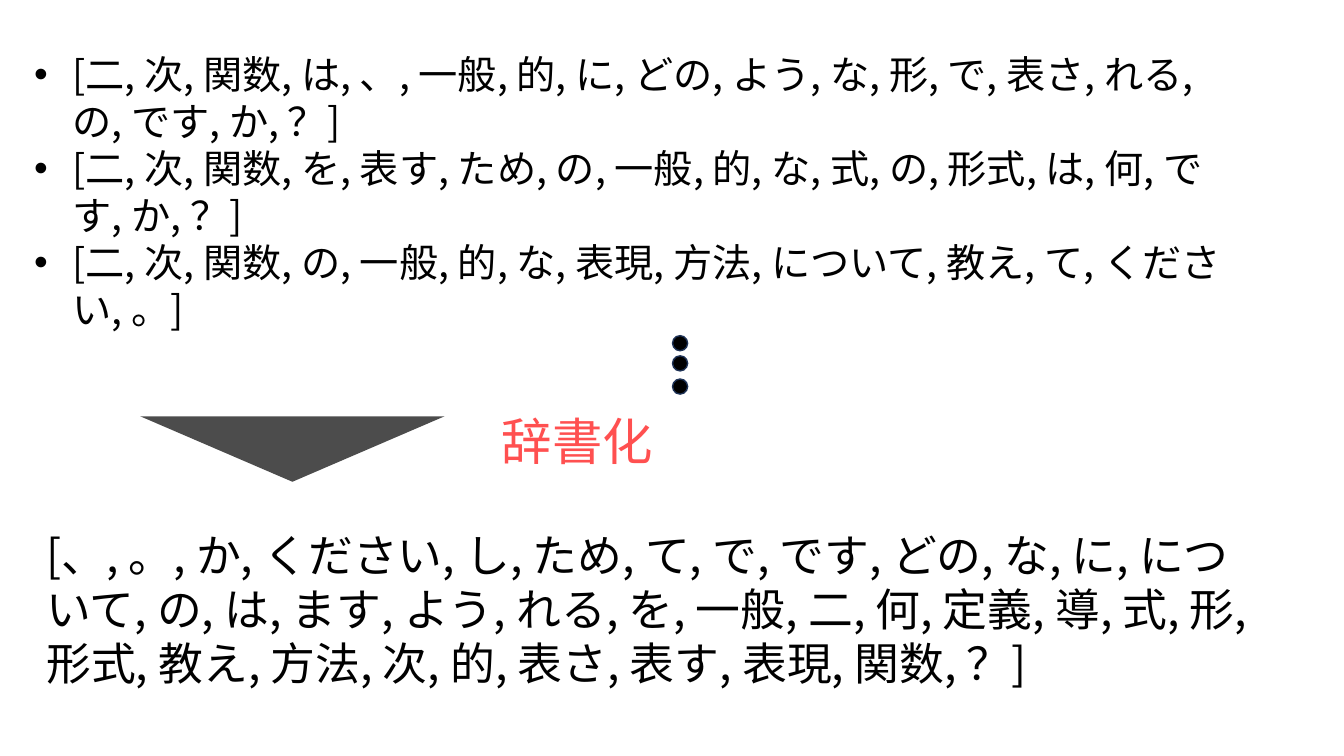
from lxml import etree
from pptx import Presentation
from pptx.dml.color import RGBColor
from pptx.enum.shapes import MSO_SHAPE as Shape
from pptx.enum.text import MSO_AUTO_SIZE as AutoSize
from pptx.oxml.ns import qn
from pptx.util import Emu, Pt

PX = 9144  # 100 px to the inch
FONT = "Noto Sans CJK JP"
BLACK = RGBColor(0x00, 0x00, 0x00)
NAVY = RGBColor(0x1E, 0x32, 0x56)
CORAL = RGBColor(0xFF, 0x50, 0x50)
BULLET_INDENT = 38

TOKENIZED_QUESTIONS = [
    "[二, 次, 関数, は, 、, 一般, 的, に, どの, よう, な, 形, で, 表さ, れる, の, です, か, ？]",
    "[二, 次, 関数, を, 表す, ため, の, 一般, 的, な, 式, の, 形式, は, 何, です, か, ？]",
    "[二, 次, 関数, の, 一般, 的, な, 表現, 方法, について, 教え, て, ください, 。]",
]
DICTIONARY = (
    "[、, 。, か, ください, し, ため, て, で, です, どの, な, に, について, の, は, ます, "
    "よう, れる, を, 一般, 二, 何, 定義, 導, 式, 形, 形式, 教え, 方法, 次, 的, 表さ, "
    "表す, 表現, 関数, ？]"
)


def px(*lengths):
    return [Emu(length * PX) for length in lengths]


def add_bullet(paragraph):
    properties = paragraph._p.get_or_add_pPr()
    indent = BULLET_INDENT * PX
    properties.set("marL", str(indent))
    properties.set("indent", str(-indent))
    etree.SubElement(properties, qn("a:buFont")).set("typeface", "Arial")
    etree.SubElement(properties, qn("a:buChar")).set("char", "•")


def add_text(slide, box, lines, size, color=BLACK, bulleted=False):
    text_frame = slide.shapes.add_textbox(*px(*box)).text_frame
    text_frame.word_wrap = True
    text_frame.auto_size = AutoSize.SHAPE_TO_FIT_TEXT
    text_frame.text = "\n".join(lines)
    for paragraph in text_frame.paragraphs:
        if bulleted:
            add_bullet(paragraph)
        for run in paragraph.runs:
            run.font.size = Pt(size)
            run.font.color.rgb = color
            run.font.name = FONT
            east_asian = etree.SubElement(run.font._element, qn("a:ea"))
            east_asian.set("typeface", FONT)


def add_black_shape(slide, kind, box):
    shape = slide.shapes.add_shape(kind, *px(*box))
    shape.shadow.inherit = False
    shape.fill.solid()
    shape.fill.fore_color.rgb = BLACK
    return shape


def add_down_triangle(slide, box, opacity):
    """Add a borderless triangle pointing down; opacity is in percent."""
    triangle = add_black_shape(slide, Shape.ISOSCELES_TRIANGLE, box)
    triangle.line.fill.background()
    properties = triangle._element.spPr
    properties.find(qn("a:xfrm")).set("flipV", "1")
    fill_color = properties.find(qn("a:solidFill")).find(qn("a:srgbClr"))
    etree.SubElement(fill_color, qn("a:alpha")).set("val", str(opacity * 1000))


def add_dot(slide, left, top, diameter):
    dot = add_black_shape(slide, Shape.OVAL, (left, top, diameter, diameter))
    dot.line.color.rgb = NAVY
    dot.line.width = Pt(1)


def main():
    presentation = Presentation()
    presentation.slide_width, presentation.slide_height = px(1333, 750)
    slide = presentation.slides.add_slide(presentation.slide_layouts[6])

    add_text(slide, (24, 45, 1211, 293), TOKENIZED_QUESTIONS, 28, bulleted=True)
    add_text(slide, (36, 519, 1228, 172), [DICTIONARY], 32)
    add_down_triangle(slide, (139, 413, 302, 65), opacity=70)
    add_text(slide, (488, 402, 302, 71), ["辞書化"], 36, CORAL)
    for top in (333, 353, 376):
        add_dot(slide, 667, top, 15)

    presentation.save("out.pptx")


if __name__ == "__main__":
    main()
